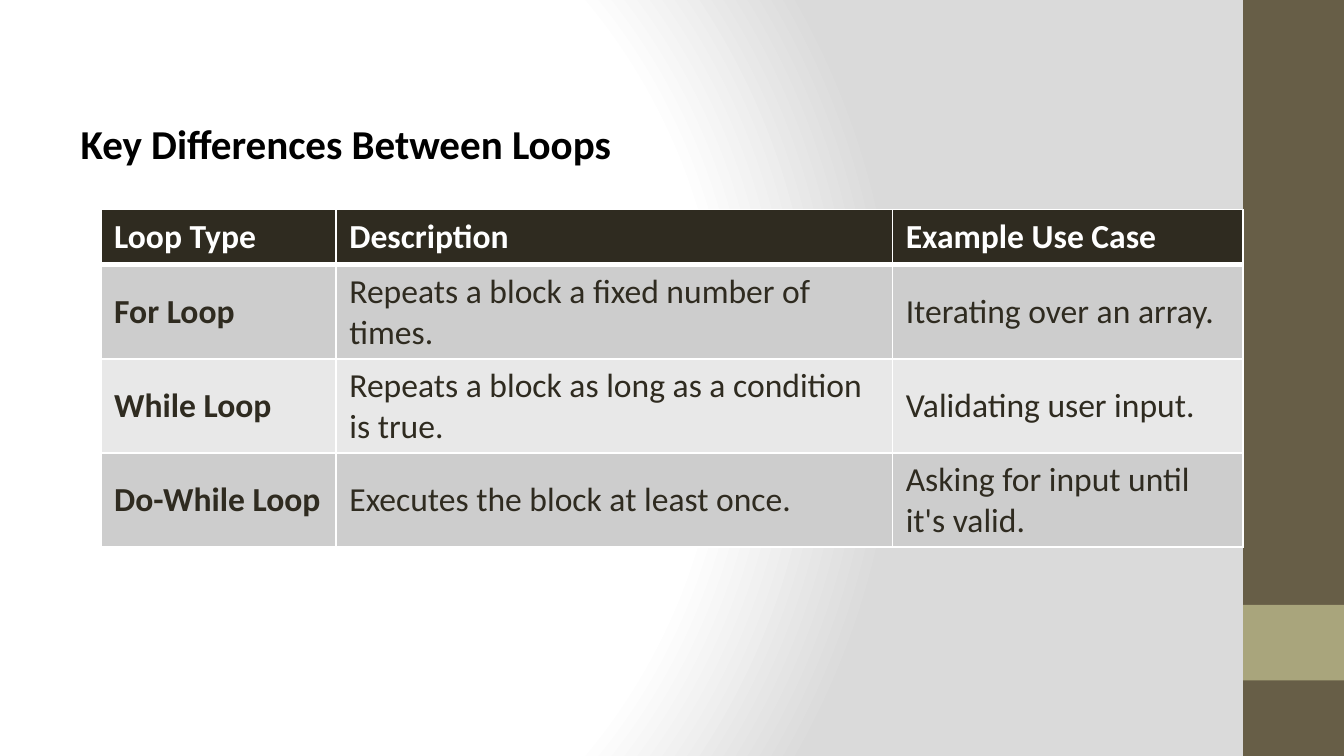
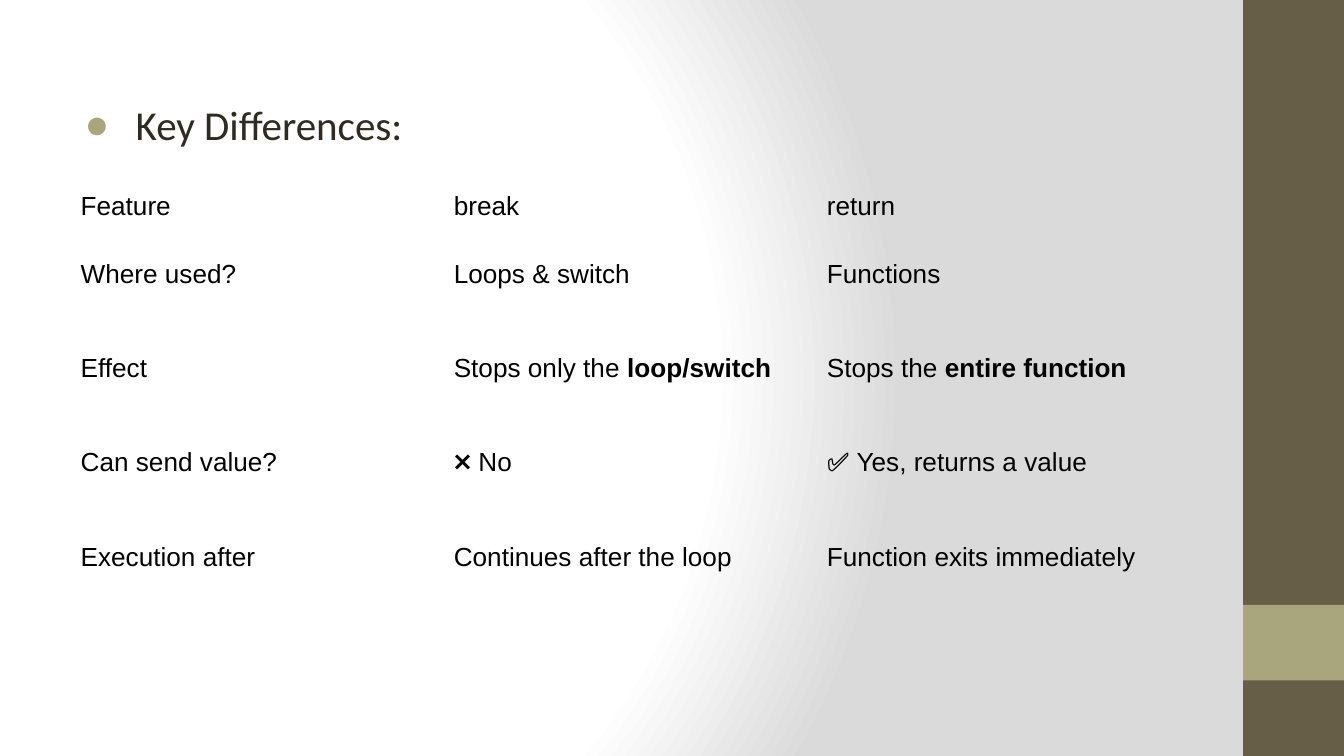
from dataclasses import dataclass

from lxml import etree
from pptx import Presentation
from pptx.dml.color import RGBColor
from pptx.enum.shapes import MSO_SHAPE
from pptx.enum.text import MSO_ANCHOR, MSO_AUTO_SIZE, PP_ALIGN
from pptx.oxml import parse_xml
from pptx.oxml.ns import nsdecls, qn
from pptx.util import Inches, Pt

RECT = MSO_SHAPE.RECTANGLE
LEFT = PP_ALIGN.LEFT
TOP, MIDDLE = MSO_ANCHOR.TOP, MSO_ANCHOR.MIDDLE
GROW, FIXED = MSO_AUTO_SIZE.SHAPE_TO_FIT_TEXT, MSO_AUTO_SIZE.NONE
PLAIN = "{2D5ABB26-0587-4C30-8999-92F81FD0307C}"  # no style, no grid


@dataclass(frozen=True)
class Theme:
    black: str = "000000"
    white: str = "FFFFFF"
    dark: str = "2F2B20"
    brown: str = "675E47"
    olive: str = "A9A57C"
    shade: str = "DADADA"
    odd: str = "CDCDCD"
    even: str = "E8E8E8"
    font: str = "Calibri"
    sans: str = "Arial"
    head: int = 22
    cell: int = 18
    small: int = 14
    thin: int = 1
    thick: int = 3


T = Theme()
WIDTH = 10
HEIGHT = WIDTH * 9 / 16

LOOPS = [
    ["Loop Type", "Description", "Example Use Case"],
    ["For Loop", "Repeats a block a fixed number of times.",
     "Iterating over an array."],
    ["While Loop", "Repeats a block as long as a condition is true.",
     "Validating user input."],
    ["Do-While Loop", "Executes the block at least once.",
     "Asking for input until it's valid."],
]
EXITS = [
    ["Feature", "break", "return"],
    ["Where used?", "Loops & switch", "Functions"],
    ["Effect", "Stops only the *loop/switch*", "Stops the *entire function*"],
    ["Can send value?", "❌ No", "✅ Yes, returns a value"],
    ["Execution after", "Continues after the loop",
     "Function exits immediately"],
]


def write(frame, text, size=T.cell, font=T.font, color=T.black, bold=False,
          anchor=MIDDLE):
    """Fill the frame with one paragraph; parts between asterisks are bold."""
    frame.vertical_anchor = anchor
    para = frame.paragraphs[0]
    para.alignment = LEFT
    para.space_before = para.space_after = Pt(0)
    for i, part in enumerate(text.split("*")):
        if part:
            run = para.add_run()
            run.text = part
            run.font.size, run.font.name = Pt(size), font
            run.font.bold = bold or i % 2 == 1
            run.font.color.rgb = RGBColor.from_string(color)
    return para


def place(shape, box):
    shape.left, shape.top, shape.width, shape.height = map(Inches, box)


def band(slide, box, color):
    shape = slide.shapes.add_shape(RECT, *map(Inches, box))
    shape.shadow.inherit = False
    shape.fill.solid()
    shape.fill.fore_color.rgb = RGBColor.from_string(color)
    shape.line.fill.background()
    return shape


def backdrop(master, slide):
    """Give the master its gradient and the side bands all slides share."""
    stops = "".join(
        f'<a:gs pos="{at * 1000}"><a:srgbClr val="{color}"/></a:gs>'
        for at, color in ((0, T.white), (75, T.white), (100, T.shade)))
    back = parse_xml(
        f'<p:bg {nsdecls("p", "a")}><p:bgPr><a:gradFill rotWithShape="1">'
        f'<a:gsLst>{stops}</a:gsLst><a:path path="circle">'
        '<a:fillToRect l="20000" t="50000" r="100000" b="50000"/></a:path>'
        '</a:gradFill><a:effectLst/></p:bgPr></p:bg>')
    page = master.element.find(qn("p:cSld"))
    old = page.find(qn("p:bg"))
    if old is not None:
        page.remove(old)
    page.insert(0, back)
    left, wide = 9.25, 0.75
    bands = [((left, 0, wide, HEIGHT), T.brown),
             ((left, HEIGHT * 0.8, wide, HEIGHT / 10), T.olive)]
    for i, (box, color) in enumerate(bands):
        shape = band(slide, box, color)
        master.shapes.element.insert(2 + i, shape.element)


def edge(cell, **sides):
    """Draw cell borders; sides maps L, R, T and B to widths in points."""
    props = cell._tc.get_or_add_tcPr()
    for i, side in enumerate("LRTB"):
        props.insert(i, parse_xml(
            f'<a:ln{side} {nsdecls("a")} w="{Pt(sides[side])}"><a:solidFill>'
            f'<a:srgbClr val="{T.white}"/></a:solidFill></a:ln{side}>'))


def grid(slide, box, cols, rows):
    """Add an unstyled table with the given column widths and row heights."""
    table = slide.shapes.add_table(
        len(rows), len(cols), *map(Inches, box)).table
    table.first_row = table.horz_banding = False
    table._tbl.tblPr.find(qn("a:tableStyleId")).text = PLAIN
    for col, size in zip(table.columns, cols):
        col.width = Inches(size)
    for row, size in zip(table.rows, rows):
        row.height = Inches(size)
    return table


def loop_grid(slide, box):
    table = grid(slide, box, [1.75, 4.14, 2.61], [0.41] + [0.7] * 3)
    for r, line in enumerate(LOOPS):
        fill = T.dark if r == 0 else T.odd if r % 2 else T.even
        for c, text in enumerate(line):
            cell = table.cell(r, c)
            cell.fill.solid()
            cell.fill.fore_color.rgb = RGBColor.from_string(fill)
            cell.vertical_anchor = MIDDLE
            write(cell.text_frame, text, bold=r == 0 or c == 0,
                  color=T.white if r == 0 else T.dark)
            edge(cell, L=T.thin, R=T.thin,
                 T=T.thick if r == 1 else T.thin,
                 B=T.thick if r == 0 else T.thin)


def exit_grid(slide, box):
    table = grid(slide, box, [box[2] / 3] * 3, [0.51, 0.51, 0.89, 0.51, 0.89])
    for r, line in enumerate(EXITS):
        for c, text in enumerate(line):
            cell = table.cell(r, c)
            cell.fill.background()
            cell.vertical_anchor = MIDDLE
            write(cell.text_frame, text, size=T.small, font=T.sans)


def heading(slide, text, box):
    title = slide.shapes.title
    place(title, box)
    frame = title.text_frame
    frame.word_wrap, frame.auto_size = False, GROW
    write(frame, text, size=T.head, bold=True, anchor=TOP)


def bullet(slide, text, box):
    body = slide.placeholders[1]
    place(body, box)
    frame = body.text_frame
    frame.word_wrap, frame.auto_size = True, FIXED
    frame.margin_left = frame.margin_right = Inches(0.1)
    frame.margin_top = frame.margin_bottom = Inches(0.1)
    para = write(frame, text, size=T.head, color=T.dark, anchor=TOP)
    props = para._p.get_or_add_pPr()
    props.set("marL", str(Inches(0.5)))
    props.set("indent", str(Inches(-0.38)))
    tint = etree.SubElement(props, qn("a:buClr"))
    etree.SubElement(tint, qn("a:srgbClr"), val=T.olive)
    etree.SubElement(props, qn("a:buFont"), typeface=T.sans)
    etree.SubElement(props, qn("a:buChar"), char="●")
    slide.shapes.element.append(body.element)  # in front of the table


def loop_slide(deck):
    slide = deck.slides.add_slide(deck.slide_layouts[5])
    heading(slide, "Key Differences Between Loops", (0.5, 0.83, 4.24, 0.47))
    loop_grid(slide, (0.75, 1.56, 8.5, 2.51))
    return slide


def exit_slide(deck):
    slide = deck.slides.add_slide(deck.slide_layouts[1])
    title = slide.shapes.title.element
    title.getparent().remove(title)
    exit_grid(slide, (0.5, 1.28, 8.33, 3.31))
    bullet(slide, "Key Differences:", (0.41, 0.64, 9.32, 3.74))


def main():
    deck = Presentation()
    deck.slide_width, deck.slide_height = Inches(WIDTH), Inches(HEIGHT)
    first = loop_slide(deck)
    backdrop(deck.slide_master, first)
    exit_slide(deck)
    deck.save("out.pptx")


if __name__ == "__main__":
    main()
